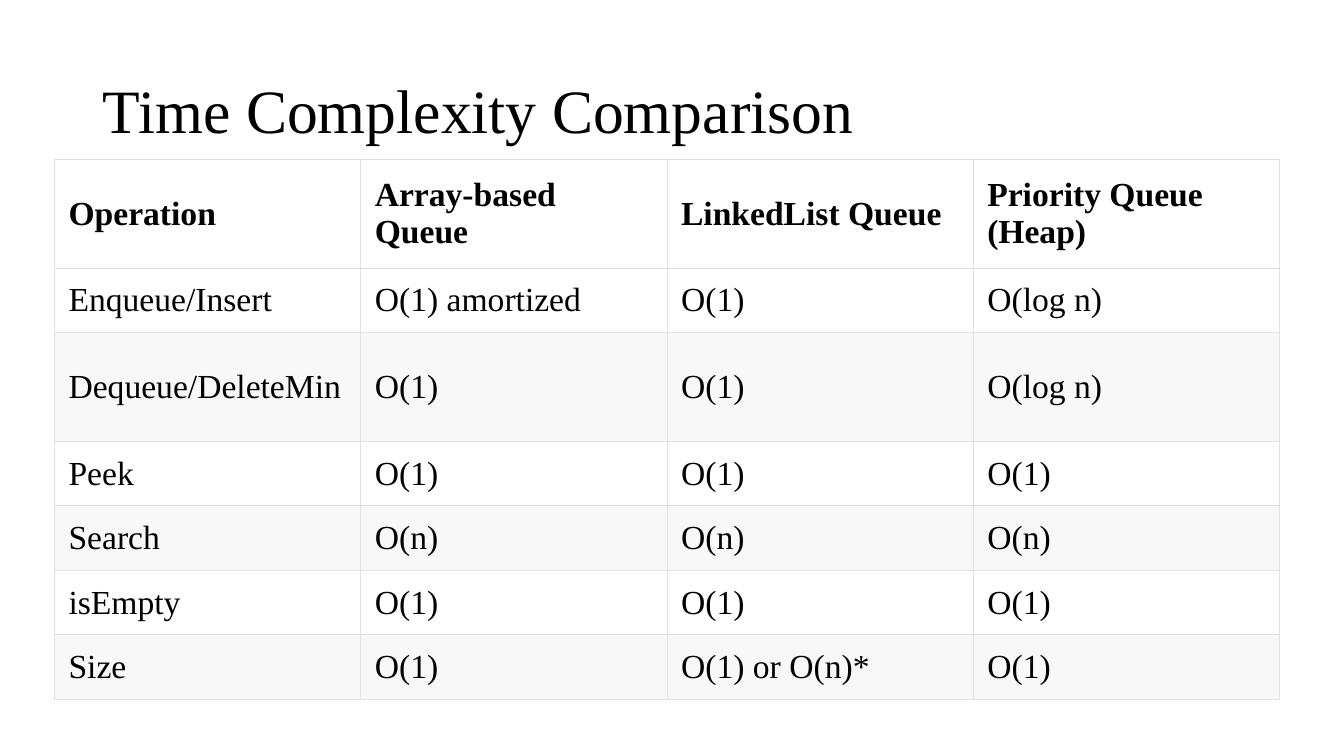
from dataclasses import dataclass

from lxml.etree import SubElement
from pptx import Presentation
from pptx.dml.color import RGBColor
from pptx.enum.text import MSO_ANCHOR, MSO_AUTO_SIZE, PP_ALIGN
from pptx.oxml.ns import qn
from pptx.util import Inches, Pt


@dataclass(frozen=True)
class Theme:
    font: str = "Times New Roman"
    text: str = "000000"
    plain_row: str = "FFFFFF"
    shaded_row: str = "F8F8F8"
    border: str = "DFE2E5"
    border_width: float = 0.75
    title_size: int = 44
    table_size: int = 24


THEME = Theme()


def format_text(paragraph, size, bold=False):
    for run in paragraph.runs:
        run.font.name = THEME.font
        run.font.size = Pt(size)
        run.font.bold = bold
        run.font.color.rgb = RGBColor.from_string(THEME.text)


def add_borders(cell):
    properties = cell._tc.get_or_add_tcPr()
    for side in ("a:lnL", "a:lnR", "a:lnT", "a:lnB"):
        line = SubElement(properties, qn(side), w=str(Pt(THEME.border_width)))
        line_fill = SubElement(line, qn("a:solidFill"))
        SubElement(line_fill, qn("a:srgbClr"), val=THEME.border)


presentation = Presentation()
presentation.slide_width = Inches(13.33)
presentation.slide_height = Inches(7.5)
slide = presentation.slides.add_slide(presentation.slide_layouts[5])

title = slide.shapes.title
title.left, title.top = Inches(0.92), Inches(0.4)
title.width, title.height = Inches(11.5), Inches(1.45)
title.text_frame.text = "Time Complexity Comparison"
title.text_frame.auto_size = MSO_AUTO_SIZE.NONE
title.text_frame.vertical_anchor = MSO_ANCHOR.MIDDLE
heading = title.text_frame.paragraphs[0]
heading.alignment = PP_ALIGN.LEFT
heading.line_spacing = 0.9
format_text(heading, THEME.title_size)

complexities = [
    ("Operation", "Array-based Queue", "LinkedList Queue", "Priority Queue (Heap)"),
    ("Enqueue/Insert", "O(1) amortized", "O(1)", "O(log n)"),
    ("Dequeue/DeleteMin", "O(1)", "O(1)", "O(log n)"),
    ("Peek", "O(1)", "O(1)", "O(1)"),
    ("Search", "O(n)", "O(n)", "O(n)"),
    ("isEmpty", "O(1)", "O(1)", "O(1)"),
    ("Size", "O(1)", "O(1) or O(n)*", "O(1)"),
]
tall_rows = {0, 2}

comparison = slide.shapes.add_table(
    len(complexities), len(complexities[0]),
    Inches(0.54), Inches(1.58), Inches(12.15), Inches(5.35),
).table

for row_index, entries in enumerate(complexities):
    is_header = row_index == 0
    is_shaded = not is_header and row_index % 2 == 0
    row_fill = THEME.shaded_row if is_shaded else THEME.plain_row
    comparison.rows[row_index].height = Inches(1.08 if row_index in tall_rows else 0.64)
    for column_index, entry in enumerate(entries):
        cell = comparison.cell(row_index, column_index)
        cell.text_frame.text = entry
        cell.vertical_anchor = MSO_ANCHOR.MIDDLE
        cell.margin_left = cell.margin_right = Inches(0.14)
        cell.margin_top = cell.margin_bottom = Inches(0.06)
        format_text(cell.text_frame.paragraphs[0], THEME.table_size, is_header)
        add_borders(cell)
        cell.fill.solid()
        cell.fill.fore_color.rgb = RGBColor.from_string(row_fill)

presentation.save("out.pptx")
